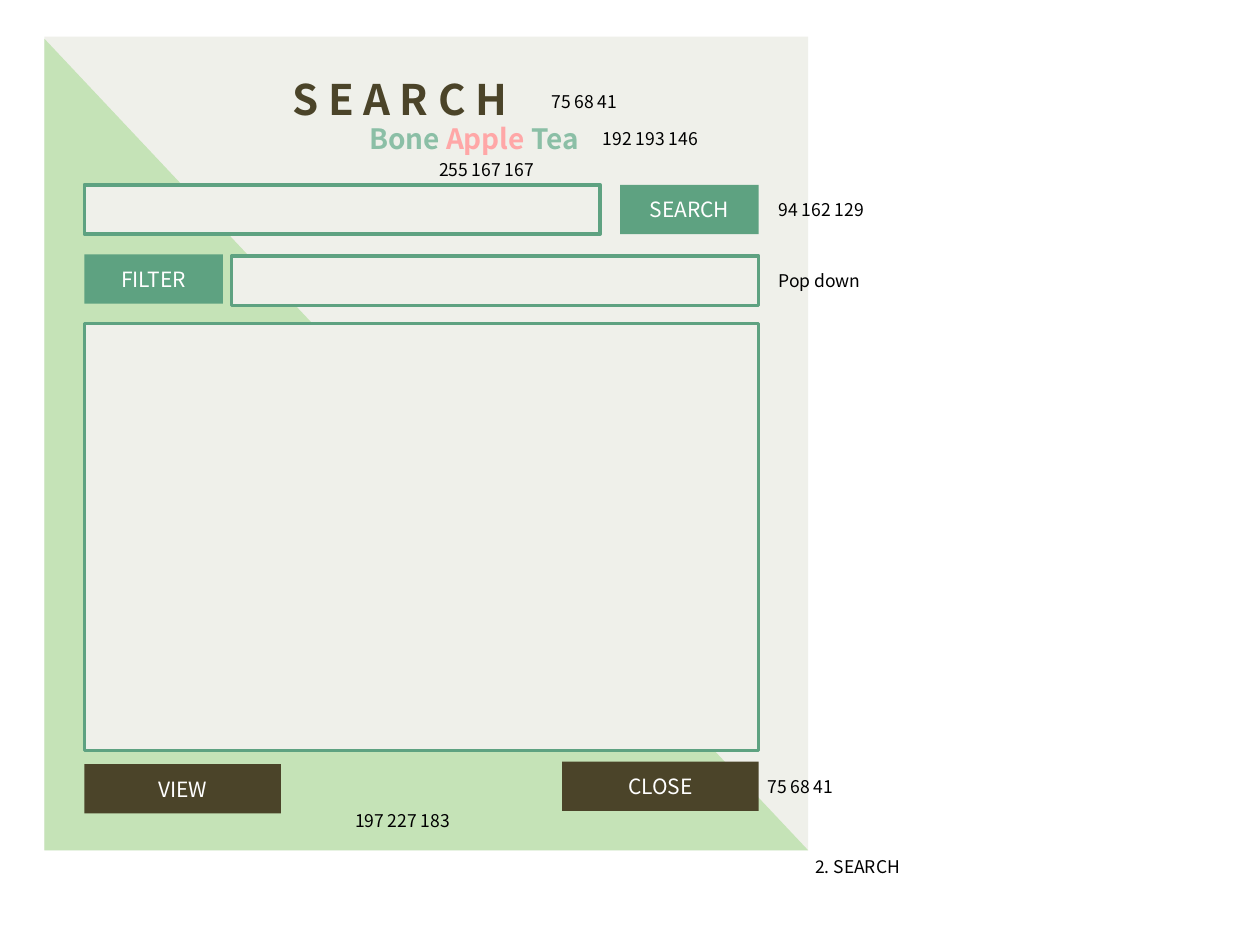
import pptx
import pptx.util
import pptx.dml.color
import pptx.enum.shapes
import pptx.enum.text

Pt = pptx.util.Pt
RGB = pptx.dml.color.RGBColor
MSO = pptx.enum.shapes.MSO_SHAPE
PP = pptx.enum.text.PP_ALIGN
ANCHOR = pptx.enum.text.MSO_ANCHOR
AUTO = pptx.enum.text.MSO_AUTO_SIZE

FONT = "Noto Sans CJK KR"
PAPER = RGB(0xEF, 0xF0, 0xEA)
LEAF = RGB(0xC5, 0xE3, 0xB7)
GREEN = RGB(0x5E, 0xA2, 0x81)
BROWN = RGB(0x4B, 0x44, 0x29)
MINT = RGB(0x8B, 0xBF, 0xA6)
PINK = RGB(0xFF, 0xA7, 0xA7)
WHITE = RGB(0xFF, 0xFF, 0xFF)
BLACK = RGB(0, 0, 0)

# Layout rules
LEFT, RIGHT = 48.2, 433.6
ROW_H = 28.2
SMALL_W, WIDE_W = 79.2, 112.3
NOTE_H = 19.4

# Content: shape, left, top, width, height, fill
PANELS = [
    (MSO.RECTANGLE, 25.4, 20.9, 436.4, 465),
    (MSO.RIGHT_TRIANGLE, 25.4, 22.2, 436.4, 463.7),
]
PANEL_FILLS = [PAPER, LEAF]

# Left, top, right, height
FIELDS = [
    (LEFT, 105.6, 343, ROW_H),
    (132.3, 146.4, RIGHT, ROW_H),
    (LEFT, 185, RIGHT, 244),
]

# Label, left, top, width, fill
BUTTONS = [
    ("SEARCH", RIGHT - SMALL_W, 105.6, SMALL_W, GREEN),
    ("FILTER", LEFT, 145.4, SMALL_W, GREEN),
    ("CLOSE", RIGHT - WIDE_W, 435.2, WIDE_W, BROWN),
    ("VIEW", LEFT, 436.6, WIDE_W, BROWN),
]

# Left, top, width, height, size, runs
HEADINGS = [
    (160, 38.6, 167, 36.3, 24, [("S E A R C H", BROWN)]),
    (203.8, 66.2, 139, 26.7, 16,
     [("Bone ", MINT), ("Apple", PINK), (" Tea", MINT)]),
]

# Text, left, top, width
NOTES = [
    ("75 68 41", 308, 48.4, 58.3),
    ("192 193 146", 337.4, 69.6, 71.3),
    ("255 167 167", 243.8, 87.2, 71.3),
    ("94 162 129", 437.8, 110.2, 66.2),
    ("Pop down", 437.8, 151, 61.2),
    ("75 68 41", 431.4, 440, 58.3),
    ("197 227 183", 195.8, 459.4, 71.3),
    ("2. SEARCH", 458.8, 485.6, 63.4),
]

prs = pptx.Presentation()
prs.slide_width, prs.slide_height = Pt(720), Pt(540)
s = prs.slides.add_slide(prs.slide_layouts[6])


def add_runs(p, runs, size, bold=False):
    for text, color in runs:
        r = p.add_run()
        r.text = text
        r.font.name = FONT
        r.font.size = Pt(size)
        r.font.bold = bold
        r.font.color.rgb = color


def add_box(kind, left, top, width, height, fill, line=None):
    sp = s.shapes.add_shape(kind, Pt(left), Pt(top), Pt(width), Pt(height))
    sp.shadow.inherit = False
    sp.fill.solid()
    sp.fill.fore_color.rgb = fill
    if line is None:
        sp.line.fill.background()
    else:
        sp.line.color.rgb = line
        sp.line.width = Pt(2)
    return sp


def add_text(left, top, width, height, size, runs, bold=False, wrap=False):
    tf = s.shapes.add_textbox(Pt(left), Pt(top), Pt(width), Pt(height)).text_frame
    tf.word_wrap = wrap
    tf.auto_size = AUTO.SHAPE_TO_FIT_TEXT
    add_runs(tf.paragraphs[0], runs, size, bold)


# Background
for panel, fill in zip(PANELS, PANEL_FILLS):
    add_box(*panel, fill)

# Headings
for heading in HEADINGS:
    add_text(*heading, bold=True, wrap=True)

# Input fields and result list
for left, top, right, height in FIELDS:
    add_box(MSO.RECTANGLE, left, top, right - left, height, PAPER, GREEN)

# Buttons
for label, left, top, width, fill in BUTTONS:
    tf = add_box(MSO.RECTANGLE, left, top, width, ROW_H, fill).text_frame
    tf.vertical_anchor = ANCHOR.MIDDLE
    p = tf.paragraphs[0]
    p.alignment = PP.CENTER
    add_runs(p, [(label, WHITE)], 12)

# Colour and screen notes
for text, left, top, width in NOTES:
    add_text(left, top, width, NOTE_H, 10, [(text, BLACK)])

prs.save("out.pptx")
